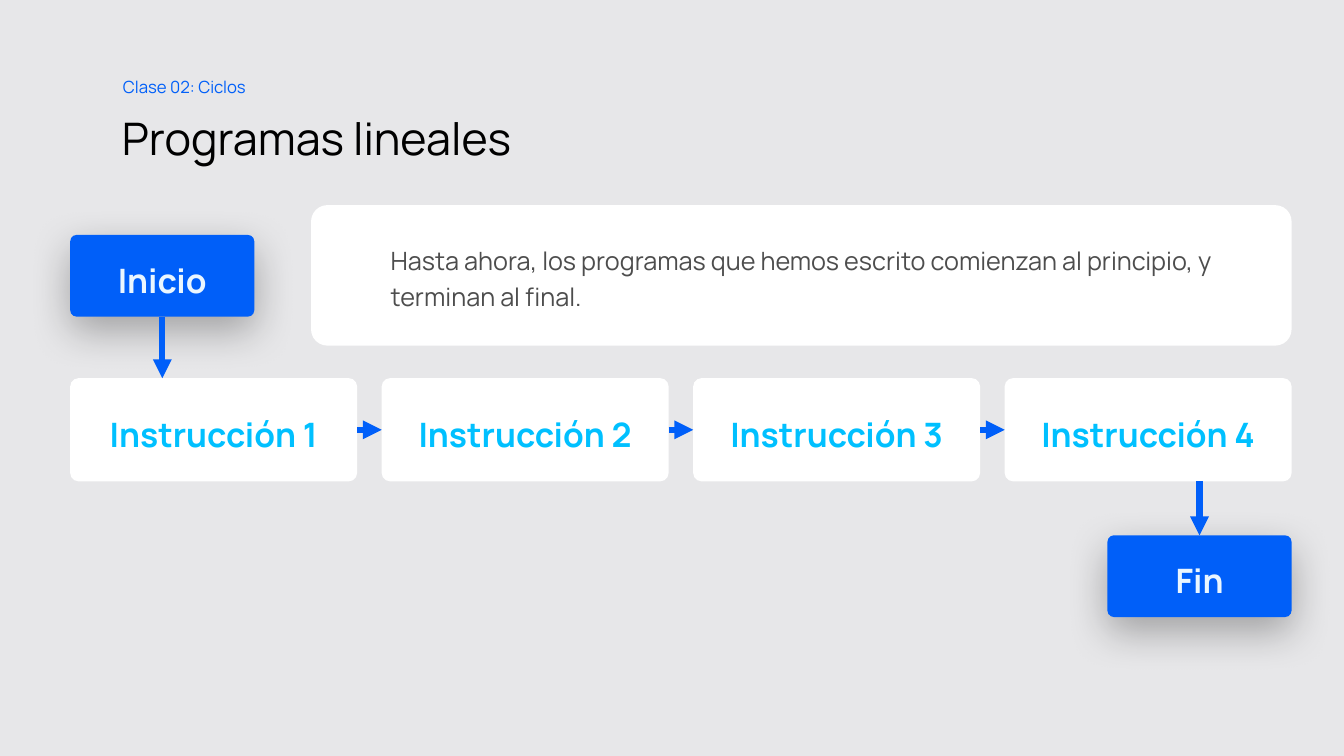
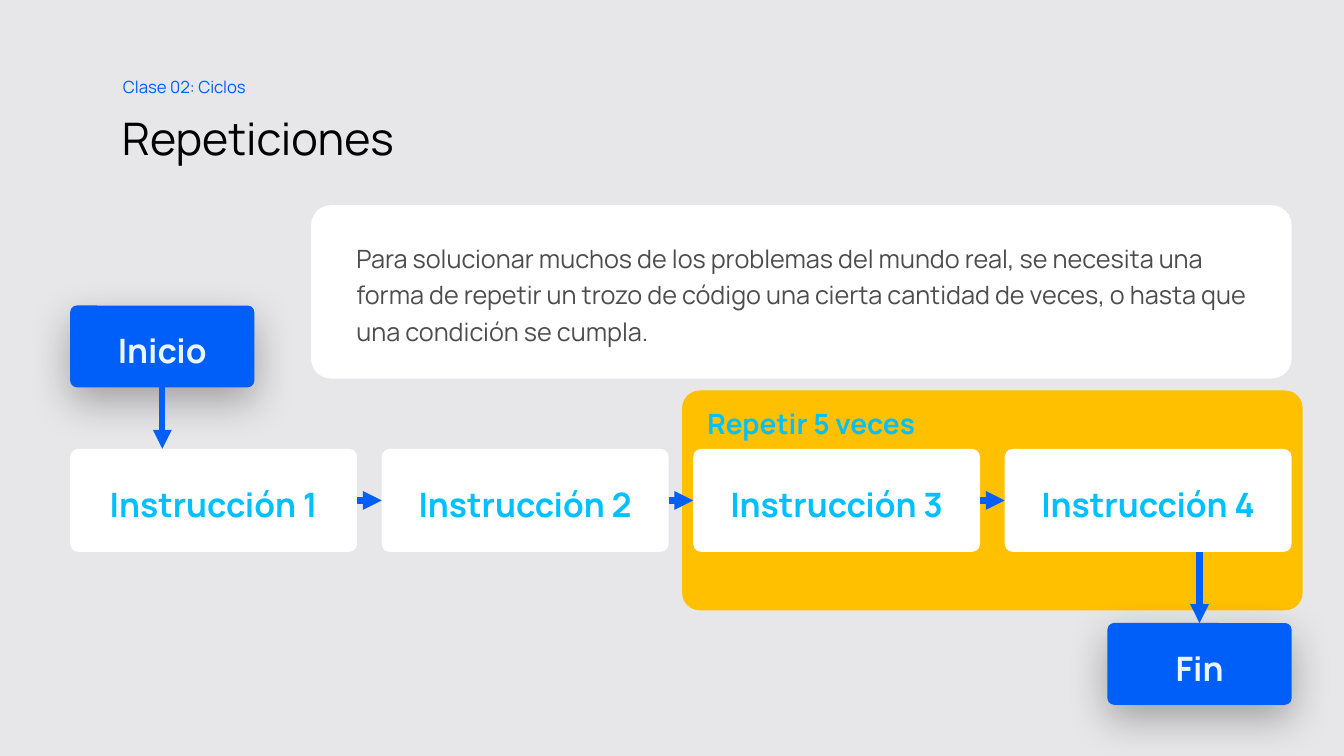
from dataclasses import dataclass
from itertools import pairwise

from lxml.etree import SubElement
from pptx import Presentation
from pptx.dml.color import RGBColor
from pptx.enum.shapes import MSO_CONNECTOR, MSO_SHAPE
from pptx.enum.text import MSO_ANCHOR, MSO_AUTO_SIZE, PP_ALIGN
from pptx.oxml.ns import qn
from pptx.shapes.autoshape import Shape
from pptx.slide import Slide, SlideLayout
from pptx.text.text import TextFrame
from pptx.util import Cm, Pt

# Shared look
FONT = "Manrope"
GREY, WHITE, BLACK = "E7E7E9", "FFFFFF", "000000"
BLUE, CYAN, ICE, AMBER, INK = "005FF9", "00C0FF", "EAF6FF", "FFC000", "4D4D4D"

# Flow chart grid, in centimetres
FLOW_LEFT = 1.77
STEP_WIDTH, STEP_HEIGHT, STEP_GAP = 7.23, 2.6, 0.62
STEP_COUNT = 4
STEP_LEFTS = [FLOW_LEFT + i * (STEP_WIDTH + STEP_GAP) for i in range(STEP_COUNT)]
FLOW_RIGHT = STEP_LEFTS[-1] + STEP_WIDTH
TERMINAL_WIDTH, TERMINAL_HEIGHT = 4.64, 2.06
START_RISE = 3.61
EXPLANATION_LEFT, EXPLANATION_TOP = 7.84, 5.17
LOOP_MARGIN, LOOP_RISE, LOOP_HEIGHT = 0.28, 1.47, 5.54


@dataclass(frozen=True)
class TextStyle:
    size: float
    color: str
    bold: bool = False
    align: PP_ALIGN = PP_ALIGN.LEFT
    spacing: float = 1.2
    before: float = 10


@dataclass(frozen=True)
class Box:
    left: float
    top: float
    width: float
    height: float
    fill: str
    rounding: float = 0.08
    raised: bool = False


@dataclass(frozen=True)
class Lesson:
    title: str
    explanation: str
    explanation_height: float
    steps_top: float
    end_top: float
    loop_label: str = ""


KICKER = TextStyle(12, BLUE)
TITLE = TextStyle(32, BLACK, spacing=0.9, before=0)
EXPLANATION = TextStyle(18, INK)
STEP = TextStyle(24, CYAN, bold=True, align=PP_ALIGN.CENTER)
TERMINAL = TextStyle(24, ICE, bold=True, align=PP_ALIGN.CENTER)
LOOP = TextStyle(20, CYAN, bold=True)

LESSONS = [
    Lesson(
        "Programas lineales",
        "Hasta ahora, los programas que hemos escrito comienzan al principio, "
        "y terminan al final.",
        explanation_height=3.54, steps_top=9.53, end_top=13.49,
    ),
    Lesson(
        "Repeticiones",
        "Para solucionar muchos de los problemas del mundo real, se necesita una "
        "forma de repetir un trozo de código una cierta cantidad de veces, o hasta "
        "que una condición se cumpla.",
        explanation_height=4.37, steps_top=11.31, end_top=15.7,
        loop_label="Repetir 5 veces",
    ),
]


def rgb(color: str) -> RGBColor:
    return RGBColor.from_string(color)


def write(frame: TextFrame, text: str, style: TextStyle,
          insets: tuple[float, float, float, float] = (0, 0, 0, 0),
          anchor: MSO_ANCHOR = MSO_ANCHOR.MIDDLE) -> None:
    """Put one styled paragraph in a frame; insets run left, top, right, bottom."""
    frame.word_wrap = True
    frame.auto_size = MSO_AUTO_SIZE.NONE
    frame.vertical_anchor = anchor
    (frame.margin_left, frame.margin_top,
     frame.margin_right, frame.margin_bottom) = map(Cm, insets)
    paragraph = frame.paragraphs[0]
    paragraph.alignment = style.align
    paragraph.line_spacing = style.spacing
    paragraph.space_before = Pt(style.before)
    run = paragraph.add_run()
    run.text = text
    run.font.name = FONT
    run.font.size = Pt(style.size)
    run.font.bold = style.bold
    run.font.color.rgb = rgb(style.color)


def add_soft_shadow(panel: Shape) -> None:
    effects = panel._element.spPr.find(qn("a:effectLst"))
    shadow = SubElement(effects, qn("a:outerShdw"), blurRad=str(Pt(30)),
                        dist=str(Pt(10)), dir="5400000", algn="t", rotWithShape="0")
    tint = SubElement(shadow, qn("a:srgbClr"), val=BLACK)
    SubElement(tint, qn("a:alpha"), val="30000")


def add_box(slide: Slide, box: Box) -> Shape:
    panel = slide.shapes.add_shape(
        MSO_SHAPE.ROUNDED_RECTANGLE,
        Cm(box.left), Cm(box.top), Cm(box.width), Cm(box.height))
    panel.adjustments[0] = box.rounding
    panel.fill.solid()
    panel.fill.fore_color.rgb = rgb(box.fill)
    panel.line.fill.background()
    panel.shadow.inherit = False
    if box.raised:
        add_soft_shadow(panel)
    return panel


def add_arrow(slide: Slide, start: tuple[float, float], end: tuple[float, float]) -> None:
    arrow = slide.shapes.add_connector(MSO_CONNECTOR.STRAIGHT, *map(Cm, start + end))
    arrow.line.color.rgb = rgb(BLUE)
    arrow.line.width = Pt(4.5)
    SubElement(arrow.line._get_or_add_ln(), qn("a:tailEnd"), type="triangle")
    SubElement(arrow._element.spPr, qn("a:effectLst"))


def prepare_layout(layout: SlideLayout) -> None:
    """Set the background and title position that every slide inherits."""
    layout.background.fill.solid()
    layout.background.fill.fore_color.rgb = rgb(GREY)
    title = layout.placeholders[0]
    title.left, title.top = Cm(3.07), Cm(2.54)
    title.width, title.height = Cm(27.56), Cm(1.91)


def add_heading(slide: Slide, title: str) -> None:
    kicker = slide.shapes.add_textbox(Cm(3.1), Cm(1.7), Cm(3.6), Cm(0.86))
    write(kicker.text_frame, "Clase 02: Ciclos", KICKER,
          (0, 0.13, 0.25, 0.13), MSO_ANCHOR.TOP)
    write(slide.shapes.title.text_frame, title, TITLE, (0, 0.25, 0.25, 0.13))


def add_loop(slide: Slide, label: str, steps_top: float) -> None:
    """Frame the last two steps."""
    left = STEP_LEFTS[2] - LOOP_MARGIN
    frame = add_box(slide, Box(left, steps_top - LOOP_RISE,
                               FLOW_RIGHT + LOOP_MARGIN - left, LOOP_HEIGHT, AMBER))
    write(frame.text_frame, label, LOOP, (0.51, 0.1, 1.3, 0), MSO_ANCHOR.TOP)


def add_flow(slide: Slide, steps_top: float, end_top: float) -> None:
    start_top = steps_top - START_RISE
    end_left = FLOW_RIGHT - TERMINAL_WIDTH

    # Start, steps and end
    for label, left, top in (("Inicio", FLOW_LEFT, start_top), ("Fin", end_left, end_top)):
        terminal = add_box(slide, Box(left, top, TERMINAL_WIDTH, TERMINAL_HEIGHT,
                                      BLUE, raised=True))
        write(terminal.text_frame, label, TERMINAL)
    for number, left in enumerate(STEP_LEFTS, start=1):
        step = add_box(slide, Box(left, steps_top, STEP_WIDTH, STEP_HEIGHT, WHITE))
        write(step.text_frame, f"Instrucción {number}", STEP)

    # Arrows down from the start, across the steps and down to the end
    start_x = FLOW_LEFT + TERMINAL_WIDTH / 2
    end_x = end_left + TERMINAL_WIDTH / 2
    steps_middle = steps_top + STEP_HEIGHT / 2
    add_arrow(slide, (start_x, start_top + TERMINAL_HEIGHT), (start_x, steps_top))
    for left, next_left in pairwise(STEP_LEFTS):
        add_arrow(slide, (left + STEP_WIDTH, steps_middle), (next_left, steps_middle))
    add_arrow(slide, (end_x, steps_top + STEP_HEIGHT), (end_x, end_top))


def add_explanation(slide: Slide, text: str, height: float) -> None:
    card = add_box(slide, Box(EXPLANATION_LEFT, EXPLANATION_TOP,
                              FLOW_RIGHT - EXPLANATION_LEFT, height, WHITE, rounding=0.116))
    write(card.text_frame, text, EXPLANATION, (0.71, 0, 0.71, 0))
    # Centre the left-aligned block as a whole
    card._element.txBody.bodyPr.set("anchorCtr", "1")


# Slides
deck = Presentation()
deck.slide_width, deck.slide_height = Cm(33.87), Cm(19.05)
title_only = deck.slide_layouts[5]
prepare_layout(title_only)

for lesson in LESSONS:
    slide = deck.slides.add_slide(title_only)
    if lesson.loop_label:
        add_loop(slide, lesson.loop_label, lesson.steps_top)
    add_heading(slide, lesson.title)
    add_flow(slide, lesson.steps_top, lesson.end_top)
    add_explanation(slide, lesson.explanation, lesson.explanation_height)

deck.save("out.pptx")
